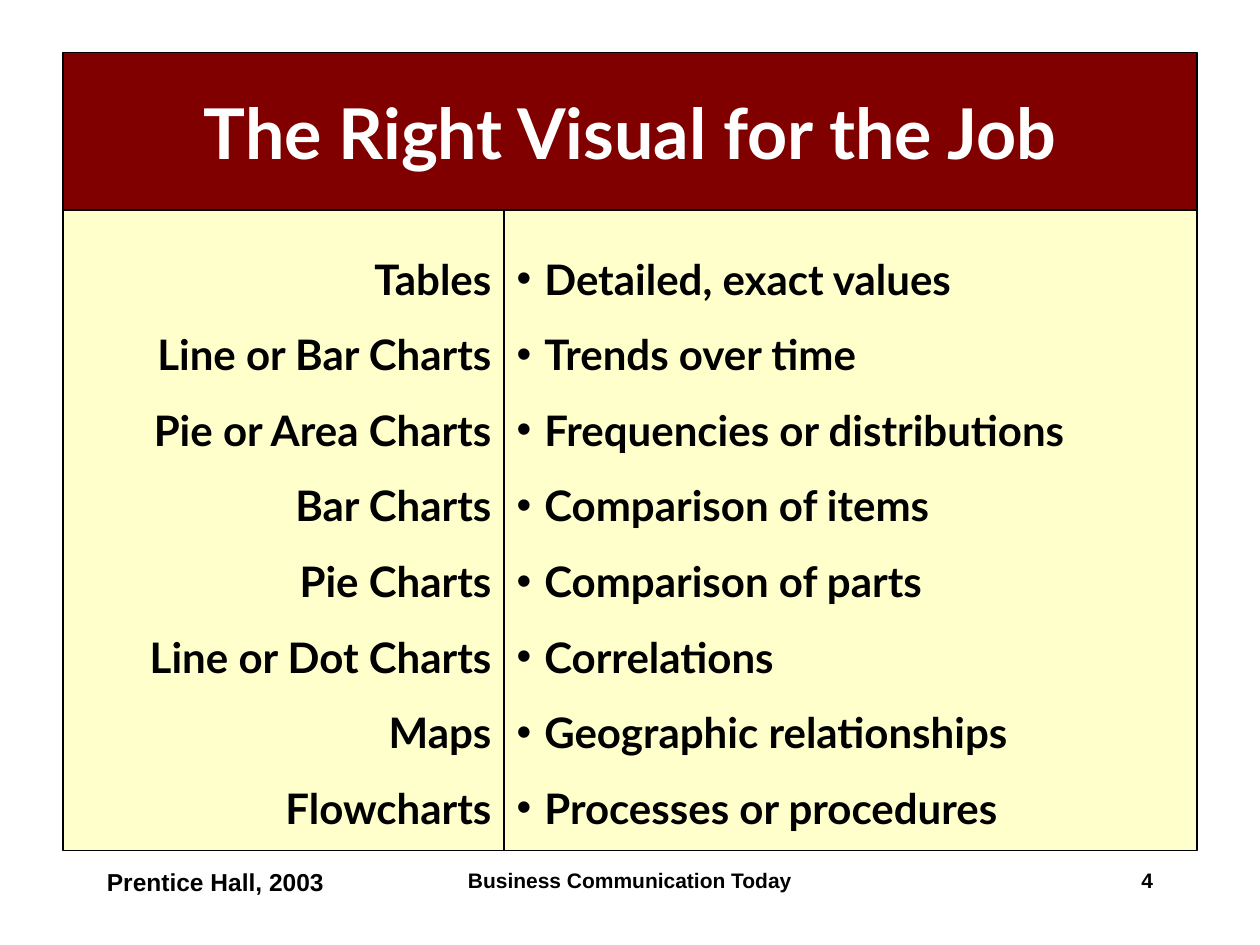
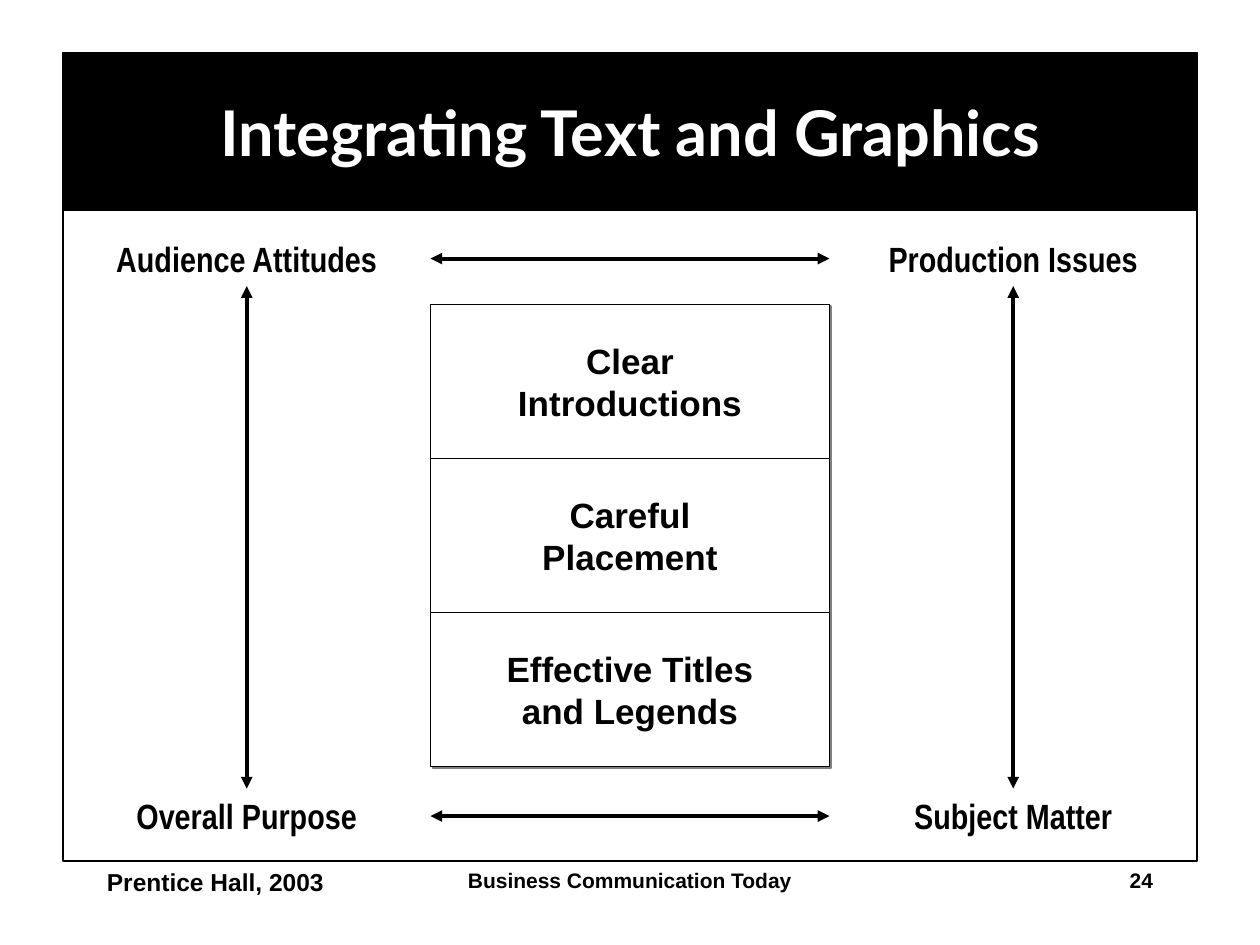
from dataclasses import dataclass

from lxml import etree
from pptx import Presentation
from pptx import util as u
from pptx.dml.color import RGBColor
from pptx.enum import shapes, text
from pptx.oxml import ns

COLS, ROWS = 120, 90
TWO_CONTENT, TITLE_ONLY = 3, 5
LEFT, CENTER, RIGHT = (text.PP_ALIGN.LEFT, text.PP_ALIGN.CENTER,
                       text.PP_ALIGN.RIGHT)
MIDDLE, TOP = text.MSO_ANCHOR.MIDDLE, text.MSO_ANCHOR.TOP


@dataclass(frozen=True)
class Theme:
    ink: str = "000000"
    paper: str = "FFFFFF"
    maroon: str = "800000"
    cream: str = "FFFFCC"
    shade: str = "808080"
    head_font: str = "Lato"
    font: str = "Arial"
    narrow_font: str = "Arial Narrow"
    list_size: int = 24
    label_size: int = 20
    source_size: int = 14
    footer_size: int = 12
    outline: float = 0.75
    arrow: float = 2.25


def rgb(value):
    return RGBColor.from_string(value)


def sub(parent, tag, **attrs):
    el = etree.SubElement(parent, ns.qn(tag))
    for name, value in attrs.items():
        el.set(name, str(value))
    return el


def add_bullet(p, color, indent):
    pPr = p._p.get_or_add_pPr()
    pPr.set("marL", str(indent))
    pPr.set("indent", str(-indent))
    sub(sub(pPr, "a:buClr"), "a:srgbClr", val=color)
    sub(pPr, "a:buFont", typeface="Arial")
    sub(pPr, "a:buChar", char="•")


def remove_bullet(p):
    pPr = p._p.get_or_add_pPr()
    pPr.set("marL", "0")
    pPr.set("indent", "0")
    sub(pPr, "a:buNone")


def write(sp, lines, *, size, font, color, align=CENTER, anchor=MIDDLE,
          spacing=1.0, bullet=None):
    """Fill sp with one paragraph per line; bullet is True, False or None to leave as is."""
    tf = sp.text_frame
    tf.word_wrap = True
    tf.auto_size = text.MSO_AUTO_SIZE.NONE
    tf.vertical_anchor = anchor
    tf.margin_left = tf.margin_right = u.Inches(0.1)
    tf.margin_top = tf.margin_bottom = u.Inches(0.05)
    for i, line in enumerate(lines):
        p = tf.add_paragraph() if i else tf.paragraphs[0]
        p.alignment = align
        p.line_spacing = spacing
        p.space_before = u.Pt(0)
        if bullet:
            add_bullet(p, color, u.Inches(0.22))
        elif bullet is False:
            remove_bullet(p)
        r = p.add_run()
        r.text = line
        r.font.size = u.Pt(size)
        r.font.name = font
        r.font.bold = True
        r.font.color.rgb = rgb(color)


class Deck:
    """Holds the theme and the current slide; boxes are (column, row, columns, rows)."""

    def __init__(self, theme):
        self.theme = theme
        self.prs = Presentation()
        self.prs.slide_width, self.prs.slide_height = u.Inches(10), u.Inches(7.5)
        self.slide = None

    def x(self, col):
        return round(self.prs.slide_width * col / COLS)

    def y(self, row):
        return round(self.prs.slide_height * row / ROWS)

    def place(self, box):
        col, row, width, height = box
        return self.x(col), self.y(row), self.x(width), self.y(height)

    def paint(self, sp, fill):
        sp.fill.solid()
        sp.fill.fore_color.rgb = rgb(fill)
        sp.line.color.rgb = rgb(self.theme.ink)
        sp.line.width = u.Pt(self.theme.outline)

    def new_slide(self, layout, title, number, *, size, fill):
        t = self.theme
        self.slide = self.prs.slides.add_slide(self.prs.slide_layouts[layout])
        self.fill_placeholder(0, (6, 5, 108, 15), [title], fill=fill,
                              size=size, color=t.paper)
        footer = {"size": t.footer_size, "anchor": TOP}
        self.label((41, 82, 38, 6), "Business Communication Today", **footer)
        self.label((86, 82, 25, 6), str(number), align=RIGHT, **footer)
        self.label((9, 82, 25, 6), "Prentice Hall, 2003", align=LEFT,
                   size=t.source_size, anchor=TOP)

    def fill_placeholder(self, idx, box, lines, *, fill, **style):
        sp = self.slide.placeholders[idx]
        sp.left, sp.top, sp.width, sp.height = self.place(box)
        self.paint(sp, fill)
        write(sp, lines, font=self.theme.head_font, **style)

    def list_panel(self, idx, box, lines, **style):
        t = self.theme
        self.fill_placeholder(idx, box, lines, fill=t.cream, size=t.list_size,
                              color=t.ink, spacing=1.5, **style)

    def label(self, box, line, *, size, font=None, **style):
        sp = self.slide.shapes.add_textbox(*self.place(box))
        write(sp, [line], size=size, font=font or self.theme.font,
              color=self.theme.ink, **style)

    def panel(self, box, parent=None):
        sp = (parent or self.slide).shapes.add_shape(
            shapes.MSO_SHAPE.RECTANGLE, *self.place(box))
        sp.shadow.inherit = False
        self.paint(sp, self.theme.paper)
        return sp

    def stack(self, box, items):
        """Equal boxes with a small shadow, one above the other, in a group."""
        t = self.theme
        col, row, width, height = box
        step = height / len(items)
        group = self.slide.shapes.add_group_shape()
        for i, lines in enumerate(items):
            sp = self.panel((col, row + i * step, width, step), group)
            effects = sp._element.spPr.find(ns.qn("a:effectLst"))
            shadow = sub(effects, "a:outerShdw", dist=u.Pt(1.4),
                         dir=45 * 60000, algn="ctr", rotWithShape=0)
            sub(shadow, "a:srgbClr", val=t.shade)
            write(sp, lines, size=t.label_size, font=t.font, color=t.ink)

    def double_arrow(self, start, end):
        (x1, y1), (x2, y2) = start, end
        line = self.slide.shapes.add_connector(
            shapes.MSO_CONNECTOR.STRAIGHT,
            self.x(x1), self.y(y1), self.x(x2), self.y(y2))
        line.line.color.rgb = rgb(self.theme.ink)
        line.line.width = u.Pt(self.theme.arrow)
        for end_tag in ("a:headEnd", "a:tailEnd"):
            sub(line.line._ln, end_tag, type="triangle")
        sub(line._element.spPr, "a:effectLst")


def visuals_slide(deck):
    deck.new_slide(TWO_CONTENT, "The Right Visual for the Job", 4,
                   size=40, fill=deck.theme.maroon)
    uses = {
        "Tables": "Detailed, exact values",
        "Line or Bar Charts": "Trends over time",
        "Pie or Area Charts": "Frequencies or distributions",
        "Bar Charts": "Comparison of items",
        "Pie Charts": "Comparison of parts",
        "Line or Dot Charts": "Correlations",
        "Maps": "Geographic relationships",
        "Flowcharts": "Processes or procedures",
    }
    deck.list_panel(1, (6, 20, 42, 61), uses.keys(), align=RIGHT, bullet=False)
    deck.list_panel(2, (48, 20, 66, 61), uses.values(), align=LEFT, bullet=True)


def integration_slide(deck):
    t = deck.theme
    deck.new_slide(TITLE_ONLY, "Integrating Text and Graphics", 24,
                   size=36, fill=t.ink)
    deck.panel((6, 20, 108, 62))
    deck.stack((41, 29, 38, 44), [("Clear", "Introductions"),
                                  ("Careful", "Placement"),
                                  ("Effective Titles", "and Legends")])
    left, right, width = 6, 79, 35
    top, bottom, height = 22, 75.1, 5.25
    corners = {
        (left, top): "Audience Attitudes",
        (left, bottom): "Overall Purpose",
        (right, bottom): "Subject Matter",
        (right, top): "Production Issues",
    }
    for (col, row), line in corners.items():
        deck.label((col, row, width, height), line, size=t.label_size,
                   font=t.narrow_font, anchor=TOP)
    for col in (left, right):
        middle = col + width / 2
        deck.double_arrow((middle, bottom), (middle, top + height))
    for row in (bottom, top):
        middle = row + height / 2
        deck.double_arrow((left + width, middle), (right, middle))


def main():
    deck = Deck(Theme())
    visuals_slide(deck)
    integration_slide(deck)
    deck.prs.save("out.pptx")


if __name__ == "__main__":
    main()
